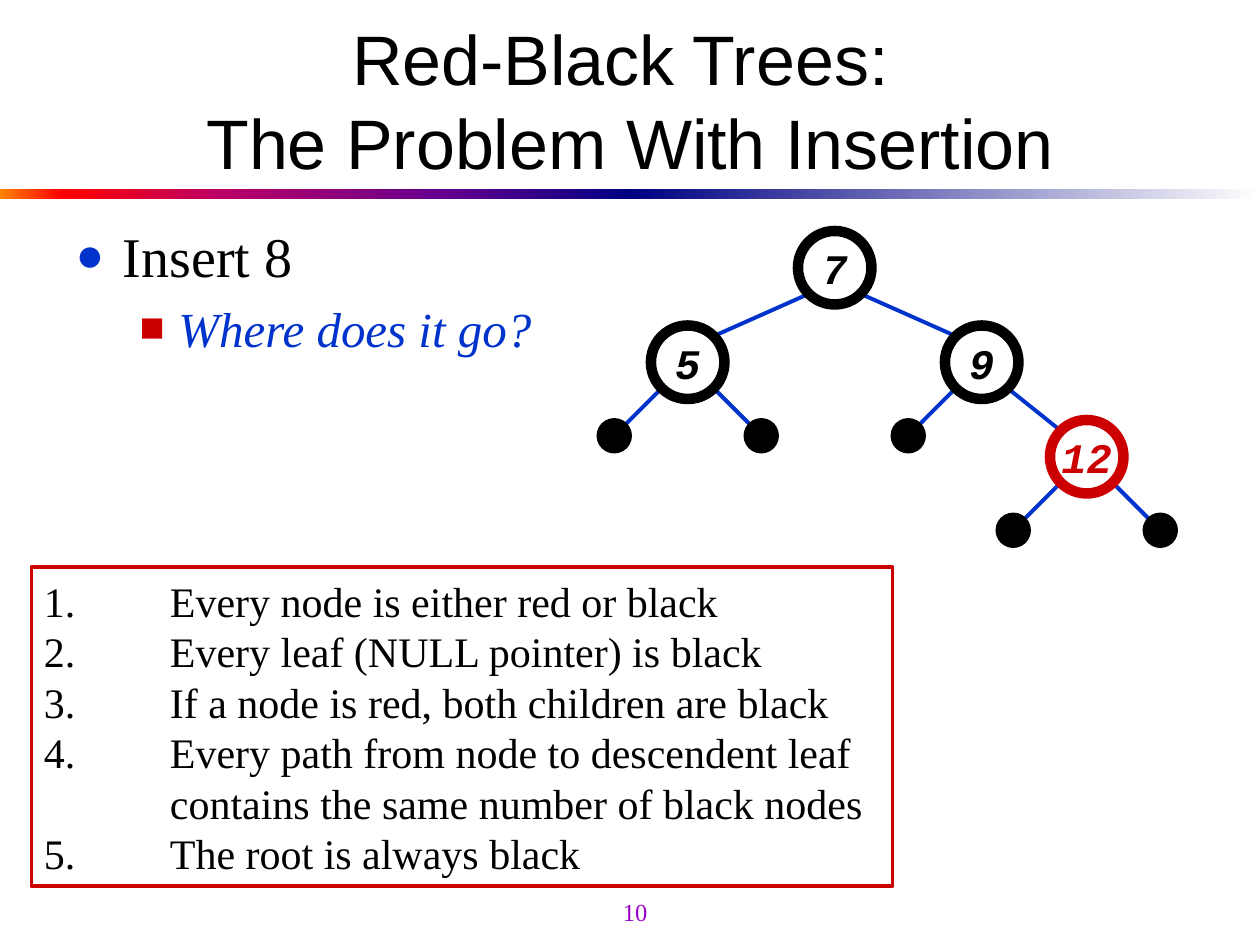
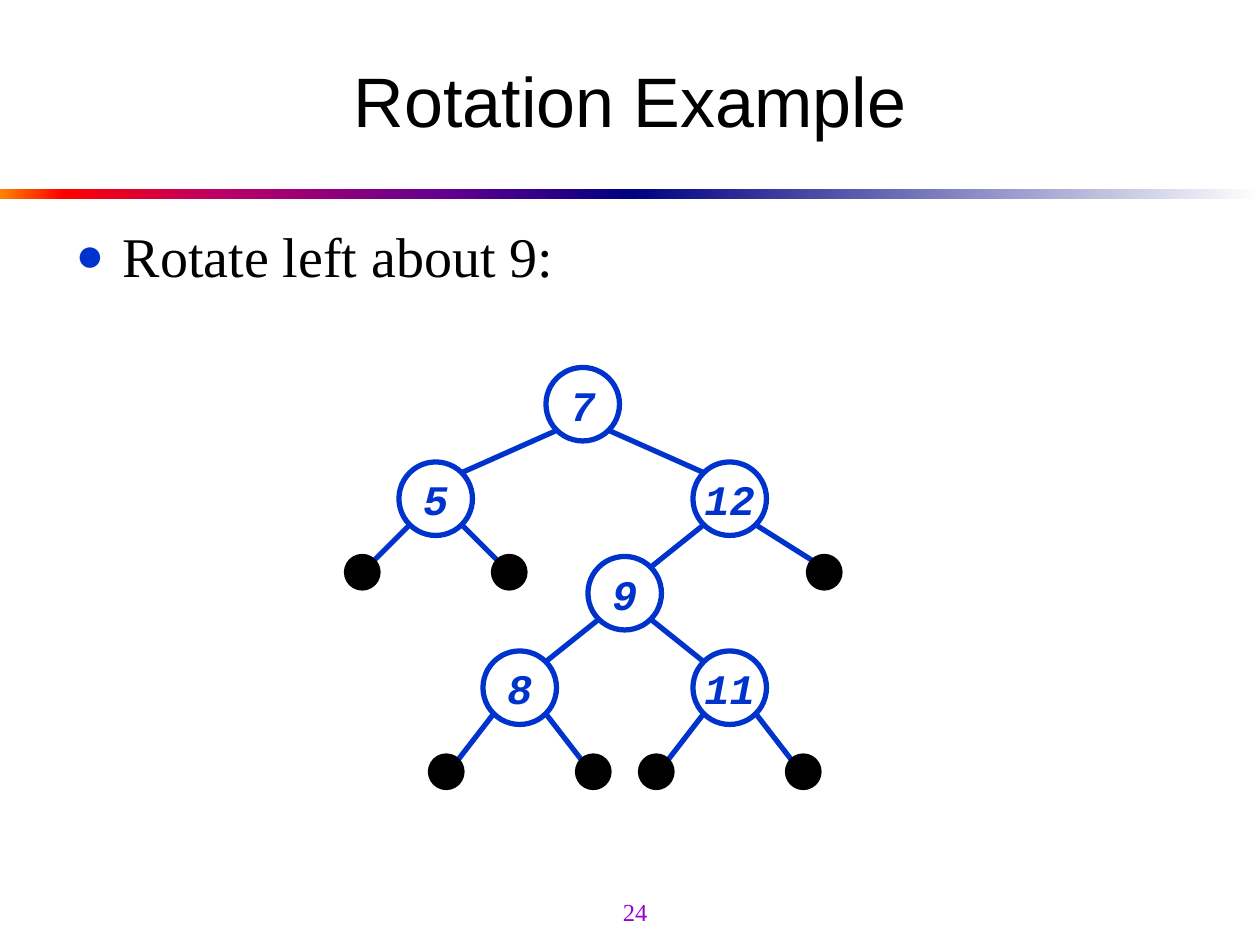
from dataclasses import dataclass

from lxml.etree import SubElement
from pptx import Presentation
from pptx.dml.color import RGBColor
from pptx.enum.shapes import MSO_CONNECTOR, MSO_SHAPE
from pptx.enum.text import MSO_ANCHOR, MSO_AUTO_SIZE, PP_ALIGN
from pptx.oxml.ns import qn
from pptx.util import Emu, Pt

EMU_PER_PX = 7620
BLACK, WHITE, BLUE, RED, PURPLE = "000000", "FFFFFF", "0033CC", "CC0000", "9900CC"
SERIF, SANS, MONO = "Times New Roman", "Arial", "Courier New"
WARM_STOPS = [(0, "FF8200"), (10, "FF0000"), (35, "BA0066"), (70, "66008F"), (100, "000082")]
COOL_STOPS = [(0, "000082"), (100, WHITE)]
BULLETS = [("●", BLUE, 45, -45), ("■", RED, 98, -37)]
NODE_RADIUS, LEAF_RADIUS = 35, 15


def px(length):
    return Emu(length * EMU_PER_PX)


def color(value):
    return RGBColor.from_string(value)


def add_element(parent, tag, **attributes):
    return SubElement(parent, qn(tag), attributes)


@dataclass
class TreeNode:
    x: int
    y: int
    label: str = ""
    children: tuple = ()
    outline: str = BLACK

    def corner(self, side, direction):
        radius = NODE_RADIUS if self.label else LEAF_RADIUS
        offset = round(radius * 0.71)
        return px(self.x + side * offset), px(self.y + direction * offset)


class SlideWriter:
    def __init__(self, deck):
        self.deck = deck
        self.page = None

    def start_page(self, title_lines, number):
        self.page = self.deck.slides.add_slide(self.deck.slide_layouts[1])
        self.band(0, WARM_STOPS)
        self.band(600, COOL_STOPS)
        self.title(title_lines)
        self.page_number(number)

    def band(self, left, stops):
        box = self.shape(MSO_SHAPE.RECTANGLE, left, 180, 600, 10)
        box.line.fill.background()
        box.fill.gradient()
        box.fill.gradient_angle = 0
        stop_list = box._element.spPr.find(".//" + qn("a:gsLst"))
        for stop in list(stop_list):
            stop_list.remove(stop)
        for position, value in stops:
            stop = add_element(stop_list, "a:gs", pos=str(position * 1000))
            add_element(stop, "a:srgbClr", val=value)

    def shape(self, preset, left, top, width, height):
        box = self.page.shapes.add_shape(preset, px(left), px(top), px(width), px(height))
        box.shadow.inherit = False
        return box

    def place(self, box, left, top, width, height):
        box.left, box.top, box.width, box.height = map(px, (left, top, width, height))

    def frame(self, box, anchor=MSO_ANCHOR.MIDDLE, wrap=True):
        frame = box.text_frame
        frame.word_wrap = wrap
        frame.auto_size = MSO_AUTO_SIZE.NONE
        frame.vertical_anchor = anchor
        return frame

    def span(self, para, text, font, size, value, bold=False, italic=False):
        span = para.add_run()
        span.text = text
        span.font.name, span.font.size = font, Pt(size)
        span.font.color.rgb = color(value)
        span.font.bold, span.font.italic = bold, italic

    def spans(self, para, lines, *style):
        for index, line in enumerate(lines):
            if index:
                para.add_line_break()
            self.span(para, line, *style)

    def title(self, lines):
        box = self.page.shapes.title
        self.place(box, 60, 30, 1080, 130)
        para = self.frame(box).paragraphs[0]
        para.alignment = PP_ALIGN.CENTER
        self.spans(para, lines, SANS, 40, BLACK)

    def page_number(self, number):
        box = self.page.shapes.add_textbox(px(480), px(838), px(250), px(60))
        para = self.frame(box, wrap=False).paragraphs[0]
        para.alignment = PP_ALIGN.CENTER
        self.span(para, str(number), SERIF, 14, PURPLE)

    def bullet_list(self, heading, detail=None):
        box = self.page.placeholders[1]
        self.place(box, 60, 205, 1080, 565)
        frame = self.frame(box, MSO_ANCHOR.TOP)
        para = frame.paragraphs[0]
        para.space_before = Pt(0)
        self.bullet(para, 0)
        self.span(para, heading, SERIF, 32, BLACK)
        if detail:
            para = frame.add_paragraph()
            self.bullet(para, 1)
            self.span(para, detail, SERIF, 28, BLUE, italic=True)

    def bullet(self, para, level):
        symbol, value, margin, indent = BULLETS[level]
        para.level = level
        properties = para._p.get_or_add_pPr()
        properties.set("marL", str(px(margin)))
        properties.set("indent", str(px(indent)))
        add_element(add_element(properties, "a:buClr"), "a:srgbClr", val=value)
        add_element(properties, "a:buSzPct", val="85000")
        add_element(properties, "a:buFont", typeface=SERIF)
        add_element(properties, "a:buChar", char=symbol)

    def rules(self, rules):
        box = self.shape(MSO_SHAPE.RECTANGLE, 30, 540, 820, 304)
        box.fill.background()
        box.line.color.rgb, box.line.width = color(RED), Pt(2.25)
        frame = self.frame(box)
        for index, lines in enumerate(rules):
            para = frame.add_paragraph() if index else frame.paragraphs[0]
            para.alignment = PP_ALIGN.LEFT
            tabs = add_element(para._p.get_or_add_pPr(), "a:tabLst")
            add_element(tabs, "a:tab", pos=str(px(120)), algn="l")
            self.spans(para, lines, SERIF, 24, BLACK)

    def tree(self, node, node_line, edge_line):
        for child in node.children:
            self.edge(node, child, edge_line)
            self.tree(child, node_line, edge_line)
        self.circle(node, node_line if node.label else edge_line)

    def edge(self, parent, child, width):
        side = 1 if child.x > parent.x else -1
        line = self.page.shapes.add_connector(
            MSO_CONNECTOR.STRAIGHT, *parent.corner(side, 1), *child.corner(-side, -1))
        line.line.color.rgb, line.line.width = color(BLUE), Pt(width)
        add_element(line._element.spPr, "a:effectLst")

    def circle(self, node, width):
        radius = NODE_RADIUS if node.label else LEAF_RADIUS
        box = self.shape(MSO_SHAPE.OVAL, node.x - radius, node.y - radius, 2 * radius, 2 * radius)
        box.fill.solid()
        box.fill.fore_color.rgb = color(WHITE if node.label else BLACK)
        box.line.color.rgb, box.line.width = color(node.outline), Pt(width)
        if node.label:
            para = self.frame(box, wrap=False).paragraphs[0]
            para.alignment = PP_ALIGN.CENTER
            self.span(para, node.label, MONO, 24, node.outline, bold=True, italic=True)


def leaves(y, *columns):
    return tuple(TreeNode(x, y) for x in columns)


def insertion_page(writer):
    writer.start_page(["Red-Black Trees: ", "The Problem With Insertion"], 10)
    writer.bullet_list("Insert 8", "Where does it go?")
    twelve = TreeNode(1035, 435, "12", leaves(505, 965, 1105), RED)
    nine = TreeNode(935, 345, "9", leaves(415, 865) + (twelve,))
    five = TreeNode(655, 345, "5", leaves(415, 585, 725))
    writer.tree(TreeNode(795, 255, "7", (five, nine)), node_line=6, edge_line=2.25)
    writer.rules([
        ["1.\tEvery node is either red or black"],
        ["2.\tEvery leaf (NULL pointer) is black"],
        ["3.\tIf a node is red, both children are black"],
        ["4. \tEvery path from node to descendent leaf",
         "\tcontains the same number of black nodes"],
        ["5. \tThe root is always black"],
    ])


def rotation_page(writer):
    writer.start_page(["Rotation Example"], 24)
    writer.bullet_list("Rotate left about 9:")
    eight = TreeNode(495, 655, "8", leaves(735, 425, 565), BLUE)
    eleven = TreeNode(695, 655, "11", leaves(735, 625, 765), BLUE)
    nine = TreeNode(595, 565, "9", (eight, eleven), BLUE)
    twelve = TreeNode(695, 475, "12", (nine,) + leaves(545, 785), BLUE)
    five = TreeNode(415, 475, "5", leaves(545, 345, 485), BLUE)
    writer.tree(TreeNode(555, 385, "7", (five, twelve), BLUE), node_line=3, edge_line=3)


def main():
    deck = Presentation()
    deck.slide_width, deck.slide_height = px(1200), px(900)
    writer = SlideWriter(deck)
    insertion_page(writer)
    rotation_page(writer)
    deck.save("out.pptx")


if __name__ == "__main__":
    main()
